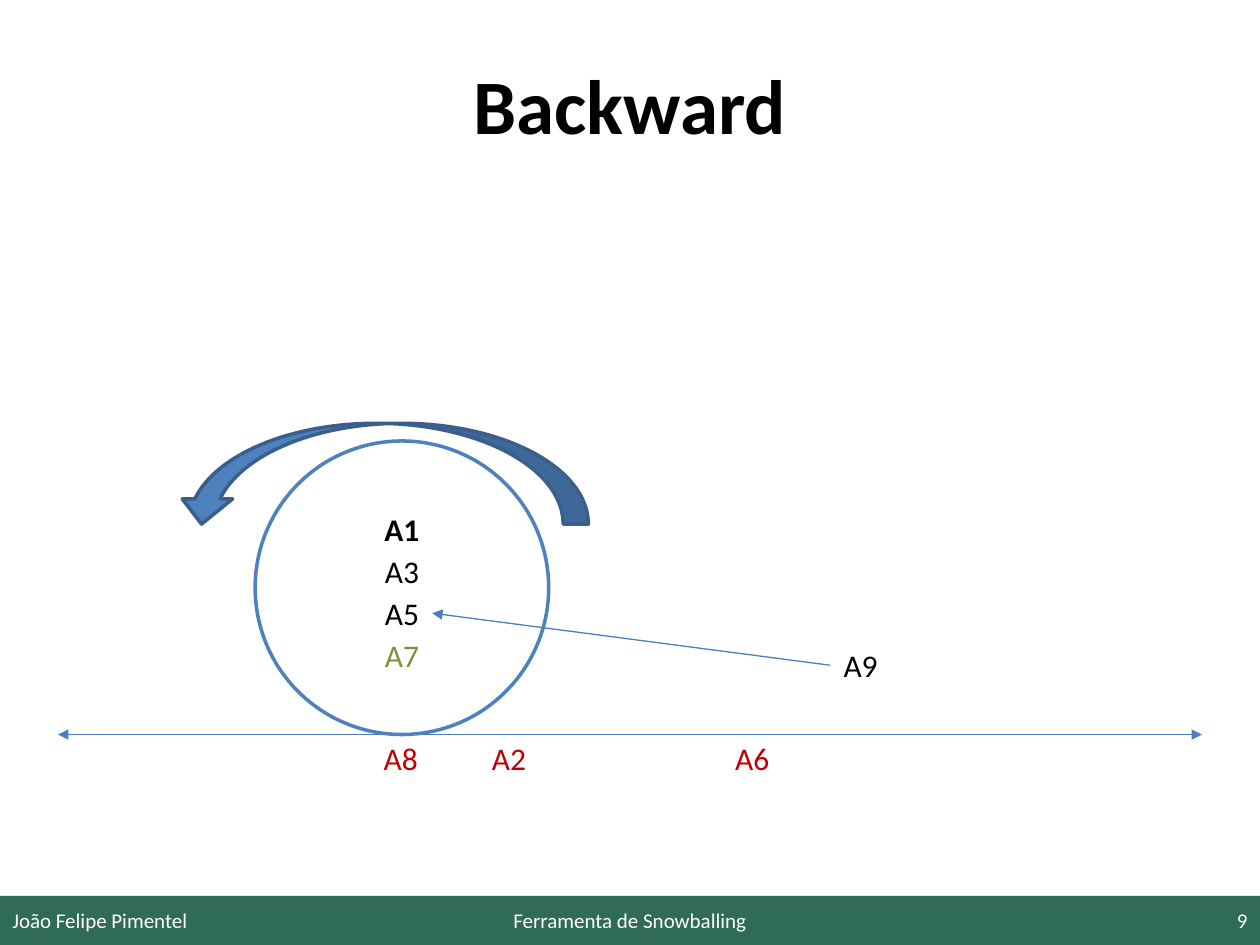
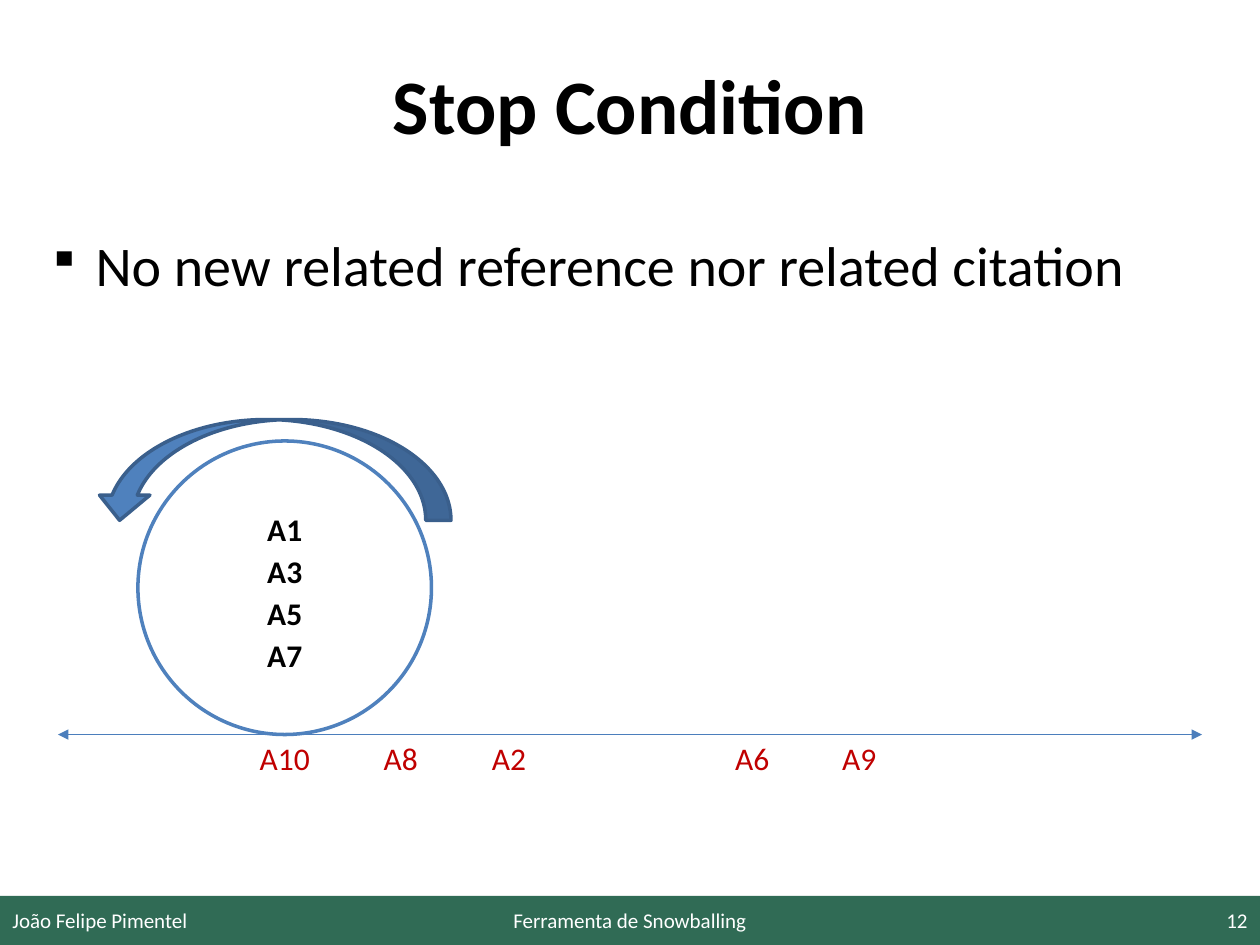
from dataclasses import dataclass

from lxml import etree
from pptx import Presentation
from pptx.dml.color import RGBColor
from pptx.enum.shapes import MSO_CONNECTOR, MSO_SHAPE
from pptx.enum.text import MSO_ANCHOR, PP_ALIGN
from pptx.oxml.ns import qn
from pptx.util import Inches, Pt

LEFT, CENTER, RIGHT = PP_ALIGN.LEFT, PP_ALIGN.CENTER, PP_ALIGN.RIGHT
TOP, MIDDLE = MSO_ANCHOR.TOP, MSO_ANCHOR.MIDDLE
RECTANGLE, OVAL = MSO_SHAPE.RECTANGLE, MSO_SHAPE.OVAL
CURVED_ARROW = MSO_SHAPE.CURVED_DOWN_ARROW
STRAIGHT = MSO_CONNECTOR.STRAIGHT


@dataclass(frozen=True)
class Theme:
    font: str = "Calibri"
    title_size: int = 44
    body_size: int = 32
    label_size: int = 18
    footer_size: int = 12
    ink: str = "000000"
    paper: str = "FFFFFF"
    band: str = "306B55"
    blue: str = "4F81BD"
    edge: str = "3A5F8C"
    axis: str = "4B7EBC"
    rejected: str = "C00000"
    candidate: str = "77933C"


THEME = Theme()

AUTHOR = "João Felipe Pimentel"
TALK = "Ferramenta de Snowballing"

SLIDES = [
    {
        "title": "Backward",
        "number": "9",
        "bullets": [],
        "ball_center": 3.19,
        "roll_arrow": (1.4, 3.36, 3.27),
        "ball": [
            ("A1", {"bold": True}),
            ("A3", {}),
            ("A5", {}),
            ("A7", {"color": THEME.candidate}),
        ],
        "rejected": ["A8", "A2", "A6"],
        "citing": {"label": "A9", "center": 6.83, "top": 5.08, "target": "A5"},
    },
    {
        "title": "Stop Condition",
        "number": "12",
        "bullets": ["No new related reference nor related citation"],
        "ball_center": 2.26,
        "roll_arrow": (0.75, 3.33, 2.83),
        "ball": [(name, {"bold": True}) for name in ("A1", "A3", "A5", "A7")],
        "rejected": ["A10", "A8", "A2", "A6", "A9"],
        "citing": None,
    },
]

AXIS_CENTERS = {"A10": 2.26, "A8": 3.18, "A2": 4.04, "A6": 5.97, "A9": 6.82}

WIDTH, HEIGHT = 10, 7.5
BAND_HEIGHT = 0.39
FOOTER_HEIGHT = 0.4
SIDE_FOOTER, MIDDLE_FOOTER = 2.33, 3.17
AXIS_Y, AXIS_MARGIN = 5.83, 0.46
BALL_SIZE = 2.33
ROLL_HEIGHT = 0.8
LABEL_PADDING, CHARACTER_WIDTH, LABEL_HEIGHT = 0.24, 0.12, 0.4
STACK_TOP, STACK_STEP = 4, 1 / 3
BULLET_INDENT = 0.38


def color_of(value):
    return RGBColor.from_string(value)


def add_bullet(paragraph):
    properties = paragraph._p.get_or_add_pPr()
    indent = Inches(BULLET_INDENT)
    properties.set("marL", str(indent))
    properties.set("indent", str(-indent))
    etree.SubElement(properties, qn("a:buSzPct")).set("val", "80000")
    etree.SubElement(properties, qn("a:buChar")).set("char", "▪")


def add_text(slide, text, left, top, width, height, size=THEME.label_size,
             color=THEME.ink, bold=False, align=LEFT, anchor=TOP,
             wrap=True, bullet=False):
    box = slide.shapes.add_textbox(*map(Inches, (left, top, width, height)))
    frame = box.text_frame
    frame.word_wrap = wrap
    frame.vertical_anchor = anchor
    frame.text = text
    for paragraph in frame.paragraphs:
        if bullet:
            add_bullet(paragraph)
        paragraph.alignment = align
        font = paragraph.font
        font.name, font.size, font.bold = THEME.font, Pt(size), bold
        font.color.rgb = color_of(color)


def label_width(text):
    return LABEL_PADDING + CHARACTER_WIDTH * len(text)


def add_label(slide, text, center, top, **style):
    width = label_width(text)
    add_text(slide, text, center - width / 2, top, width, LABEL_HEIGHT,
             align=CENTER, wrap=False, **style)


def add_figure(slide, kind, left, top, width, height, fill, line=None):
    shape = slide.shapes.add_shape(
        kind, *map(Inches, (left, top, width, height)))
    shape.shadow.inherit = False
    shape.fill.solid()
    shape.fill.fore_color.rgb = color_of(fill)
    if line:
        shape.line.color.rgb = color_of(line)
        shape.line.width = Pt(2)
    else:
        shape.line.fill.background()
    return shape


def add_arrow(slide, start, end, tips):
    connector = slide.shapes.add_connector(
        STRAIGHT, *map(Inches, (*start, *end)))
    connector.line.color.rgb = color_of(THEME.axis)
    connector.line.width = Pt(0.75)
    line = connector.line._get_or_add_ln()
    for tip in tips:
        etree.SubElement(line, qn(f"a:{tip}")).set("type", "triangle")
    etree.SubElement(connector._element.spPr, qn("a:effectLst"))


def add_frame(slide, title, number):
    add_figure(slide, RECTANGLE, 0, HEIGHT - BAND_HEIGHT, WIDTH, BAND_HEIGHT,
               THEME.band)
    add_text(slide, title, 1, 0.2, WIDTH - 2, 1.25, size=THEME.title_size,
             bold=True, align=CENTER, anchor=MIDDLE)
    footers = [
        (AUTHOR, 0, SIDE_FOOTER, LEFT),
        (TALK, (WIDTH - MIDDLE_FOOTER) / 2, MIDDLE_FOOTER, CENTER),
        (number, WIDTH - SIDE_FOOTER, SIDE_FOOTER, RIGHT),
    ]
    for text, left, width, align in footers:
        add_text(slide, text, left, HEIGHT - FOOTER_HEIGHT, width,
                 FOOTER_HEIGHT, size=THEME.footer_size, color=THEME.paper,
                 align=align, anchor=MIDDLE)


def add_snowball(slide, content):
    center = content["ball_center"]
    add_arrow(slide, (AXIS_MARGIN, AXIS_Y), (WIDTH - AXIS_MARGIN, AXIS_Y),
              ("headEnd", "tailEnd"))
    add_figure(slide, OVAL, center - BALL_SIZE / 2, AXIS_Y - BALL_SIZE,
               BALL_SIZE, BALL_SIZE, THEME.paper, THEME.blue)
    roll = add_figure(slide, CURVED_ARROW, *content["roll_arrow"],
                      ROLL_HEIGHT, THEME.blue, THEME.edge)
    roll._element.spPr.xfrm.set("flipH", "1")

    tops = {}
    for row, (name, style) in enumerate(content["ball"]):
        tops[name] = STACK_TOP + row * STACK_STEP
        add_label(slide, name, center, tops[name], **style)
    for name in content["rejected"]:
        add_label(slide, name, AXIS_CENTERS[name], AXIS_Y - 0.01,
                  color=THEME.rejected)

    citing = content["citing"]
    if citing:
        label, target = citing["label"], citing["target"]
        add_label(slide, label, citing["center"], citing["top"])
        start = (citing["center"] - label_width(label) / 2,
                 citing["top"] + LABEL_HEIGHT / 2)
        end = (center + label_width(target) / 2,
               tops[target] + LABEL_HEIGHT / 2)
        add_arrow(slide, start, end, ("tailEnd",))


def main():
    presentation = Presentation()
    presentation.slide_width = Inches(WIDTH)
    presentation.slide_height = Inches(HEIGHT)
    blank = presentation.slide_layouts[6]
    for content in SLIDES:
        slide = presentation.slides.add_slide(blank)
        add_frame(slide, content["title"], content["number"])
        if content["bullets"]:
            add_text(slide, "\n".join(content["bullets"]), 0.28, 1.78, 9.45,
                     5.04, size=THEME.body_size, bullet=True)
        add_snowball(slide, content)
    presentation.save("out.pptx")


if __name__ == "__main__":
    main()
